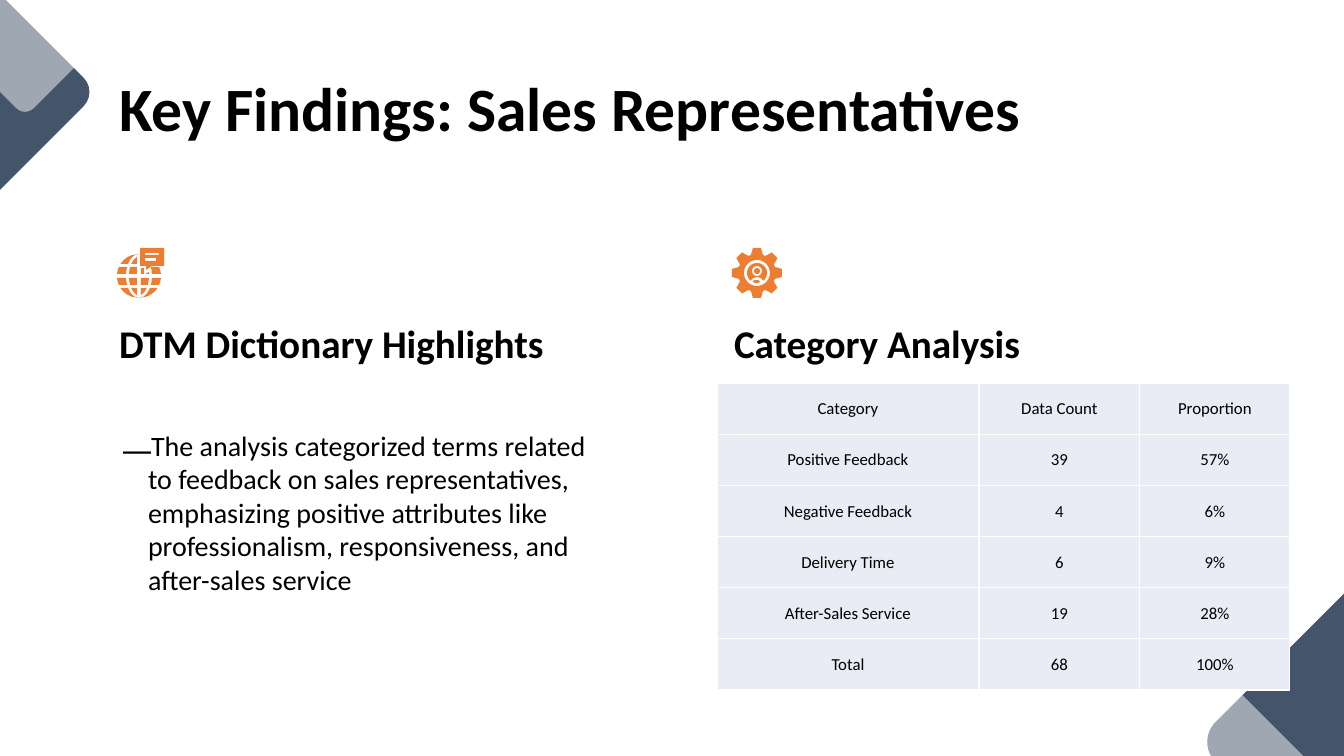
import dataclasses
import math

import pptx
import pptx.dml.color
import pptx.enum.shapes
import pptx.enum.text
import pptx.oxml
import pptx.oxml.ns
import pptx.util

PX = 9144000 / 1008  # EMU per px, 100.8 px to the inch
SHAPE = pptx.enum.shapes.MSO_SHAPE
ANCHOR = pptx.enum.text.MSO_ANCHOR
ALIGN = pptx.enum.text.PP_ALIGN
rgb = pptx.dml.color.RGBColor.from_string


@dataclasses.dataclass(frozen=True)
class Theme:
    font: str = "Calibri"
    ink: str = "000000"
    navy: str = "44546A"
    white: str = "FFFFFF"
    accent: str = "ED7D31"
    cell: str = "E9EBF5"
    title: int = 44
    heading: int = 28
    body: int = 20
    table: int = 12


theme = Theme()


def box(*lengths):
    return [pptx.util.Emu(round(length * PX)) for length in lengths]


def paint(shape, color):
    shape.shadow.inherit = False
    shape.fill.solid()
    shape.fill.fore_color.rgb = rgb(color)
    shape.line.fill.background()


prs = pptx.Presentation()
prs.slide_width, prs.slide_height = box(1344, 756)
slide = prs.slides.add_slide(prs.slide_layouts.get_by_name("Comparison"))

# Corner diamonds: centre, side, colour, opacity in percent
corner_diamonds = [
    (1395, 742, 282, theme.navy, 100),
    (1225, 798, 170, theme.white, 49),
    (-45, 92, 202, theme.navy, 100),
    (25, 32, 120, theme.white, 49),
]
for cx, cy, side, color, opacity in corner_diamonds:
    diamond = slide.shapes.add_shape(
        SHAPE.ROUNDED_RECTANGLE, *box(cx - side / 2, cy - side / 2, side, side))
    diamond.rotation = 45
    diamond.adjustments[0] = 0.1
    paint(diamond, color)
    if opacity < 100:
        tint = diamond.element.spPr.find(".//" + pptx.oxml.ns.qn("a:srgbClr"))
        tint.append(pptx.oxml.parse_xml(
            f'<a:alpha {pptx.oxml.ns.nsdecls("a")} val="{opacity * 1000}"/>'))

# Title, headings and finding
finding = ("The analysis categorized terms related to feedback on sales "
           "representatives, emphasizing positive attributes like "
           "professionalism, responsiveness, and after-sales service")
texts = [
    (0, (106, 65, 1132, 85), "Key Findings: Sales Representatives", theme.title, True, ANCHOR.TOP, 0.9),
    (1, (106, 321, 518, 59), "DTM Dictionary Highlights", theme.heading, True, ANCHOR.BOTTOM, 0.9),
    (3, (721, 321, 518, 59), "Category Analysis", theme.heading, True, ANCHOR.BOTTOM, 0.9),
    (2, (110, 415, 518, 225), finding, theme.body, False, ANCHOR.TOP, 1.0),
]
placeholders = {p.placeholder_format.idx: p for p in slide.placeholders}
for idx, place, words, size, bold, anchor, spacing in texts:
    holder = placeholders[idx]
    holder.left, holder.top, holder.width, holder.height = box(*place)
    frame = holder.text_frame
    frame.word_wrap = True
    frame.auto_size = pptx.enum.text.MSO_AUTO_SIZE.NONE
    frame.vertical_anchor = anchor
    (frame.margin_left, frame.margin_top,
     frame.margin_right, frame.margin_bottom) = box(13, 13, 13, 13)
    paragraph = frame.paragraphs[0]
    paragraph.alignment = ALIGN.LEFT
    paragraph.line_spacing = spacing
    paragraph.space_before = pptx.util.Pt(0)
    run = paragraph.add_run()
    run.text = words
    run.font.name = theme.font
    run.font.size = pptx.util.Pt(size)
    run.font.bold = bold
    run.font.color.rgb = rgb(theme.ink)
placeholders[4].element.getparent().remove(placeholders[4].element)

# Dash bullet of the finding
finding_format = placeholders[2].text_frame.paragraphs[0]._p.get_or_add_pPr()
indent, = box(25)
finding_format.set("marL", str(indent))
finding_format.set("indent", str(-indent))
for bullet_part in (f'<a:buClr {{}}><a:srgbClr val="{theme.ink}"/></a:buClr>',
                    '<a:buChar {} char="⎼"/>'):
    finding_format.append(pptx.oxml.parse_xml(
        bullet_part.format(pptx.oxml.ns.nsdecls("a"))))

# Globe icon: left and right pieces of four latitude bands
icon_outlines = {"globe": [], "gear": []}
globe_x, globe_y, globe_r = 139, 276, 22
bands = [(-22, -12), (-9, -2), (2, 9), (12, 22)]
for side in (-1, 1):
    for row, (top, bottom) in enumerate(bands):
        heights = [top + (bottom - top) * step / 8 for step in range(9)]
        axis, inner, outer, edge = [], [], [], []
        for y in heights:
            rim = math.sqrt(globe_r ** 2 - y ** 2)
            axis.append((globe_x + side * 2, globe_y + y))
            meridian = 10 * math.sqrt(max(0, 1 - (y / 19) ** 2))
            inner.append((globe_x + side * max(2, meridian), globe_y + y))
            outer.append((globe_x + side * rim * 13 / globe_r, globe_y + y))
            edge.append((globe_x + side * rim, globe_y + y))
        if side < 0 or row > 1:
            icon_outlines["globe"].append([axis + inner[::-1]])
        if side < 0 or row > 0:
            icon_outlines["globe"].append([outer + edge[::-1]])

# Globe pieces beside the speech bubble, then the bubble with its two lines
icon_outlines["globe"] += [
    [[(141, 268), (144, 268), (144, 274), (141, 274)]],
    [[(145, 274), (149, 272), (149, 274)]],
    [[(140, 248), (164, 248), (164, 266), (152, 266), (146, 270), (146, 266), (140, 266)],
     [(145, 253), (145, 255), (159, 255), (159, 253)],
     [(145, 258), (145, 261), (156, 261), (156, 258)]],
]

# Gear icon: eight turned teeth, a round hole and a person badge
gear_x, gear_y = 757, 273
teeth = []
for tooth in range(8):
    turn = math.radians(45 * tooth)
    for x, y in [(-6, -18), (-4, -25), (4, -25), (6, -18)]:
        teeth.append((gear_x + x * math.cos(turn) - y * math.sin(turn),
                      gear_y + x * math.sin(turn) + y * math.cos(turn)))
arcs = []
for cy, radius, start, end in [(gear_y, 13, 360, 0), (gear_y, 10, 130, 410),
                               (gear_y - 2, 5, 360, 0)]:
    angles = [math.radians(start + (end - start) * step / 36) for step in range(37)]
    arcs.append([(gear_x + radius * math.cos(a), cy + radius * math.sin(a)) for a in angles])
hole, badge, head_gap = arcs
shoulders = [(gear_x + 4, gear_y + 5), (gear_x, gear_y + 4), (gear_x - 4, gear_y + 5)]
icon_outlines["gear"] += [[teeth, hole], [badge + shoulders, head_gap]]

for icon, outlines in icon_outlines.items():
    icon_group = slide.shapes.add_group_shape()
    for contours in outlines:
        builder = None
        for contour in contours:
            points = [box(*point) for point in contour]
            if builder is None:
                builder = icon_group.shapes.build_freeform(*points[0], scale=1.0)
            else:
                builder.move_to(*points[0])
            builder.add_line_segments(points[1:], close=True)
        paint(builder.convert_to_shape(), theme.accent)
    if icon == "gear":
        for person_part in [(754, 268, 6, 6), (753, 280, 7, 3)]:
            paint(icon_group.shapes.add_shape(SHAPE.OVAL, *box(*person_part)), theme.accent)

# Category table
rows = [
    ("Category", "Data Count", "Proportion"),
    ("Positive Feedback", "39", "57%"),
    ("Negative Feedback", "4", "6%"),
    ("Delivery Time", "6", "9%"),
    ("After-Sales Service", "19", "28%"),
    ("Total", "68", "100%"),
]
column_widths = box(262, 161, 150)
categories = slide.shapes.add_table(len(rows), 3, *box(717, 383, 573, 307)).table
categories.first_row = categories.horz_banding = False
for column, width in zip(categories.columns, column_widths):
    column.width = width
for r, row in enumerate(rows):
    for c, value in enumerate(row):
        cell = categories.cell(r, c)
        cell.fill.solid()
        cell.fill.fore_color.rgb = rgb(theme.cell)
        cell.vertical_anchor = ANCHOR.MIDDLE
        cell.margin_left, cell.margin_top, cell.margin_right, cell.margin_bottom = box(1, 1, 1, 0)
        paragraph = cell.text_frame.paragraphs[0]
        paragraph.alignment = ALIGN.CENTER
        run = paragraph.add_run()
        run.text = value
        run.font.name = theme.font
        run.font.size = pptx.util.Pt(theme.table)
        run.font.color.rgb = rgb(theme.ink)
        for position, edge in enumerate(("lnL", "lnR", "lnT", "lnB")):
            cell._tc.get_or_add_tcPr().insert(position, pptx.oxml.parse_xml(
                f'<a:{edge} {pptx.oxml.ns.nsdecls("a")} w="12700"><a:solidFill>'
                f'<a:srgbClr val="{theme.white}"/></a:solidFill></a:{edge}>'))

prs.save("out.pptx")
